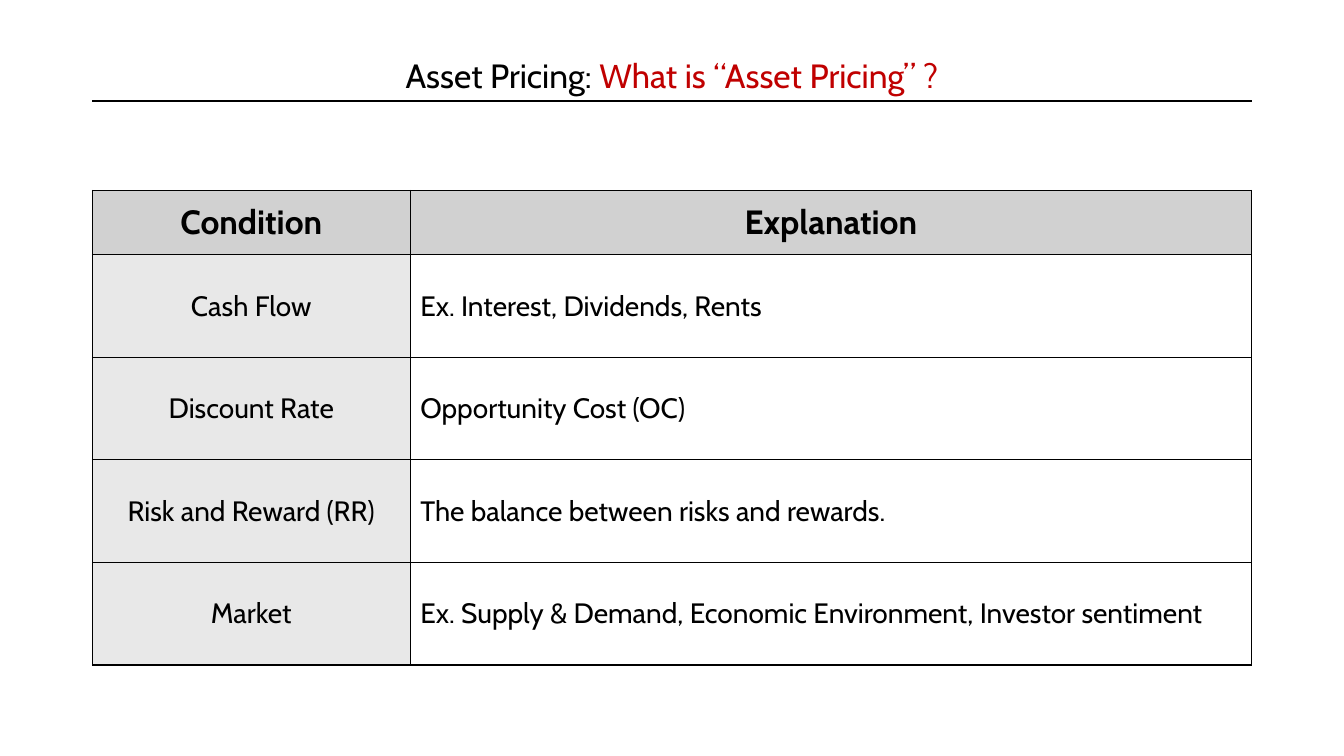
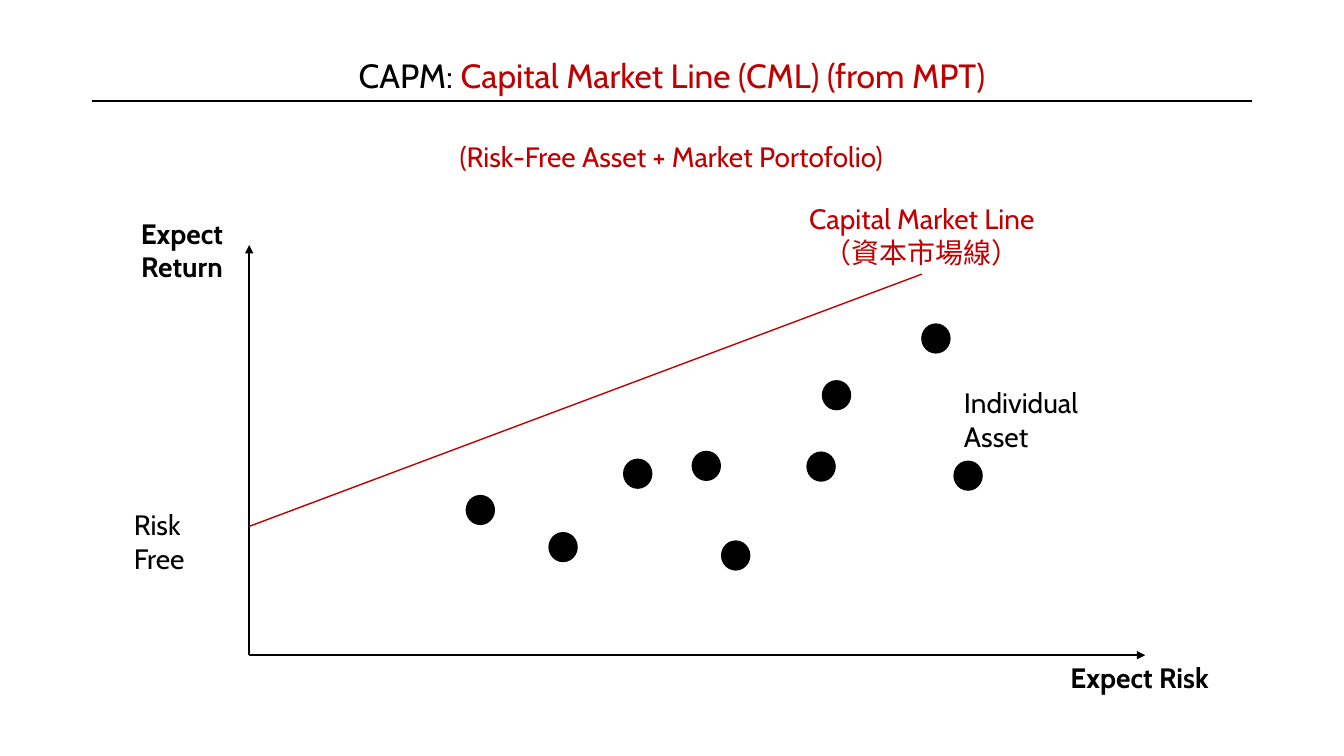
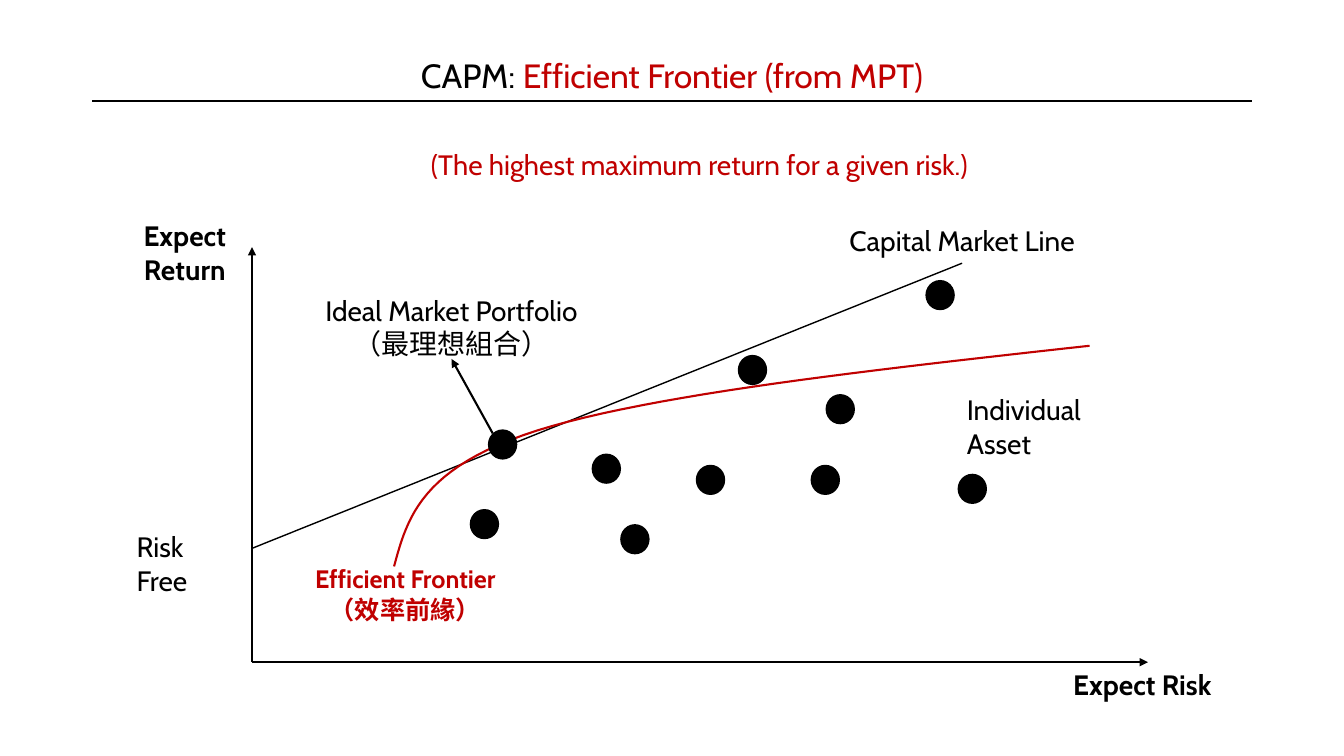
from lxml.etree import SubElement
from pptx import Presentation
from pptx.dml.color import RGBColor
from pptx.enum.shapes import MSO_CONNECTOR, MSO_SHAPE
from pptx.enum.text import MSO_ANCHOR, PP_ALIGN
from pptx.oxml.ns import qn
from pptx.util import Pt

BLACK = RGBColor(0, 0, 0)
RED = RGBColor(0xC0, 0, 0)
WHITE = RGBColor(0xFF, 0xFF, 0xFF)
GREY = RGBColor(0xD1, 0xD1, 0xD1)
PALE = RGBColor(0xE8, 0xE8, 0xE8)
FONT = "Cabin"
LEFT, CENTER = PP_ALIGN.LEFT, PP_ALIGN.CENTER
MIDDLE = MSO_ANCHOR.MIDDLE
STRAIGHT = MSO_CONNECTOR.STRAIGHT
OVAL = MSO_SHAPE.OVAL
EDGE, WIDTH = 66, 828


def write(shape, lines, size=20, align=CENTER, bold=False, color=BLACK):
    """Fill a text box or cell; a line is a string or a list of (words, color) runs."""
    frame = shape.text_frame
    frame.word_wrap = True
    for i, runs in enumerate(lines):
        para = frame.add_paragraph() if i else frame.paragraphs[0]
        para.alignment = align
        for words, tint in [(runs, color)] if isinstance(runs, str) else runs:
            run = para.add_run()
            run.text = words
            run.font.name = FONT
            run.font.size = Pt(size)
            run.font.bold = bold
            run.font.color.rgb = tint
    return shape


def line(page, start, end, color=BLACK, weight=1.5, arrow=False):
    link = page.shapes.add_connector(STRAIGHT, *map(Pt, start + end))
    link.line.color.rgb = color
    link.line.width = Pt(weight)
    if arrow:
        SubElement(link.line._get_or_add_ln(), qn("a:tailEnd"), type="triangle")
    SubElement(link._element.spPr, qn("a:effectLst"))
    return link


deck = Presentation()
deck.slide_width, deck.slide_height = Pt(960), Pt(540)

# Titles
TITLES = [
    ("Asset Pricing:", " What is “Asset Pricing” ?"),
    ("CAPM: ", "Capital Market Line (CML) (from MPT)"),
    ("CAPM: ", "Efficient Frontier (from MPT)"),
]
pages = []
for topic, head in TITLES:
    page = deck.slides.add_slide(deck.slide_layouts[6])
    box = page.shapes.add_textbox(Pt(EDGE), Pt(36), Pt(WIDTH), Pt(36))
    write(box, [[(topic, BLACK), (head, RED)]], 24)
    line(page, (EDGE, 72), (EDGE + WIDTH, 72))
    pages.append(page)

# Table of pricing conditions
ROWS = [
    ("Condition", "Explanation"),
    ("Cash Flow", "Ex. Interest, Dividends, Rents"),
    ("Discount Rate", "Opportunity Cost (OC)"),
    ("Risk and Reward (RR)", "The balance between risks and rewards."),
    ("Market", "Ex. Supply & Demand, Economic Environment, Investor sentiment"),
]
table = pages[0].shapes.add_table(
    len(ROWS), 2, Pt(EDGE), Pt(136), Pt(WIDTH), Pt(339)).table
table.first_row = table.horz_banding = False
table.columns[0].width, table.columns[1].width = Pt(227), Pt(WIDTH - 227)
for r, row in enumerate(ROWS):
    table.rows[r].height = Pt(73.25 if r else 46)
    for c, words in enumerate(row):
        cell = table.cell(r, c)
        cell.vertical_anchor = MIDDLE
        write(cell, [words], 20 if r else 24, LEFT if r and c else CENTER, not r)
        props = cell._tc.get_or_add_tcPr()
        for side in "LRTB":
            edge = SubElement(props, qn("a:ln" + side), w=str(Pt(1)))
            SubElement(SubElement(edge, qn("a:solidFill")), qn("a:srgbClr"), val=str(BLACK))
        cell.fill.solid()
        cell.fill.fore_color.rgb = GREY if r == 0 else WHITE if c else PALE

# Risk and return graphs: page, origin, axis top, risk-free level,
# line color, line label and its box, note and its box
GRAPHS = [
    (pages[1], 178, 468, 175, 376, RED,
     ["Capital Market Line", "（資本市場線）"], (567, 140.4, 183, 55.4),
     "(Risk-Free Asset + Market Portofolio)", (315, 96, 329, 32)),
    (pages[2], 180, 473, 176.5, 391.7, BLACK,
     ["Capital Market Line"], (595.5, 156, 183.5, 32),
     "(The highest maximum return for a given risk.)", (296, 102, 407.5, 32)),
]
for page, x, y, top, free, color, name, spot, note, place in GRAPHS:
    line(page, (x, y), (x, top), arrow=True)
    line(page, (x, y), (x + 640, y), arrow=True)
    for words, area, align, bold, tint in [
        (["Expect", "Return"], (x - 95.5, top - 24, 95, 47), CENTER, True, BLACK),
        (["Expect Risk"], (x + 579.5, y, 120, 27), LEFT, True, BLACK),
        (["Risk Free"], (x - 89.5, free - 17, 80, 51), LEFT, False, BLACK),
        (["Individual Asset"], (x + 503.5, y - 196, 130, 51), LEFT, False, BLACK),
        ([note], place, CENTER, False, RED),
    ]:
        write(page.shapes.add_textbox(*map(Pt, area)), words, 20, align, bold, tint)
    label = write(page.shapes.add_textbox(*map(Pt, spot)), name, color=color)
    end = (spot[0] + spot[2] / 2, spot[1] + spot[3])
    line(page, (x, free), end, color, 1).end_connect(label, 2)

# Efficient frontier
page = pages[2]
box = page.shapes.add_textbox(Pt(211), Pt(399), Pt(157), Pt(46))
write(box, ["Efficient Frontier", "（效率前緣）"], 18, bold=True, color=RED)
ideal = page.shapes.add_textbox(Pt(216), Pt(206), Pt(213), Pt(50.4))
write(ideal, ["Ideal Market Portfolio", "（最理想組合）"])
line(page, (352, 309.6), (322.5, 256.4), arrow=True).end_connect(ideal, 2)

BENDS = [
    ((281.5, 404.6), (291, 369.4), (301, 334), (383.8, 307.5)),
    ((383.8, 307.5), (466.6, 281.5), (622.8, 264.2), (778.3, 247)),
]
STEPS = 24
dots = []
for bend in BENDS:
    for step in range(1, STEPS + 1):
        t = step / STEPS
        parts = ((1 - t) ** 3, 3 * t * (1 - t) ** 2, 3 * t * t * (1 - t), t ** 3)
        dots.append([Pt(sum(w * p[k] for w, p in zip(parts, bend))) for k in (0, 1)])
pen = page.shapes.build_freeform(*map(Pt, BENDS[0][0]))
pen.add_line_segments(dots, close=False)
curve = pen.convert_to_shape()
curve.shadow.inherit = False
curve.fill.background()
curve.line.color.rgb = RED
curve.line.width = Pt(1.5)

# Single assets
ASSETS = [
    (pages[1], [(445, 327.6), (515, 386), (332.6, 353.5), (658, 231), (576, 322.5),
                (494, 322), (587, 271.5), (681, 329), (391.7, 380)]),
    (pages[2], [(443, 374.4), (527, 253.5), (335.5, 363.6), (661, 200), (579, 332),
                (497, 332), (589.7, 281.5), (684, 338.4), (422.6, 324), (348.5, 306.7)]),
]
for page, spots in ASSETS:
    for x, y in spots:
        dot = page.shapes.add_shape(OVAL, Pt(x), Pt(y), Pt(21), Pt(21.6))
        dot.shadow.inherit = False
        dot.fill.solid()
        dot.fill.fore_color.rgb = BLACK
        dot.line.fill.background()

deck.save("out.pptx")
